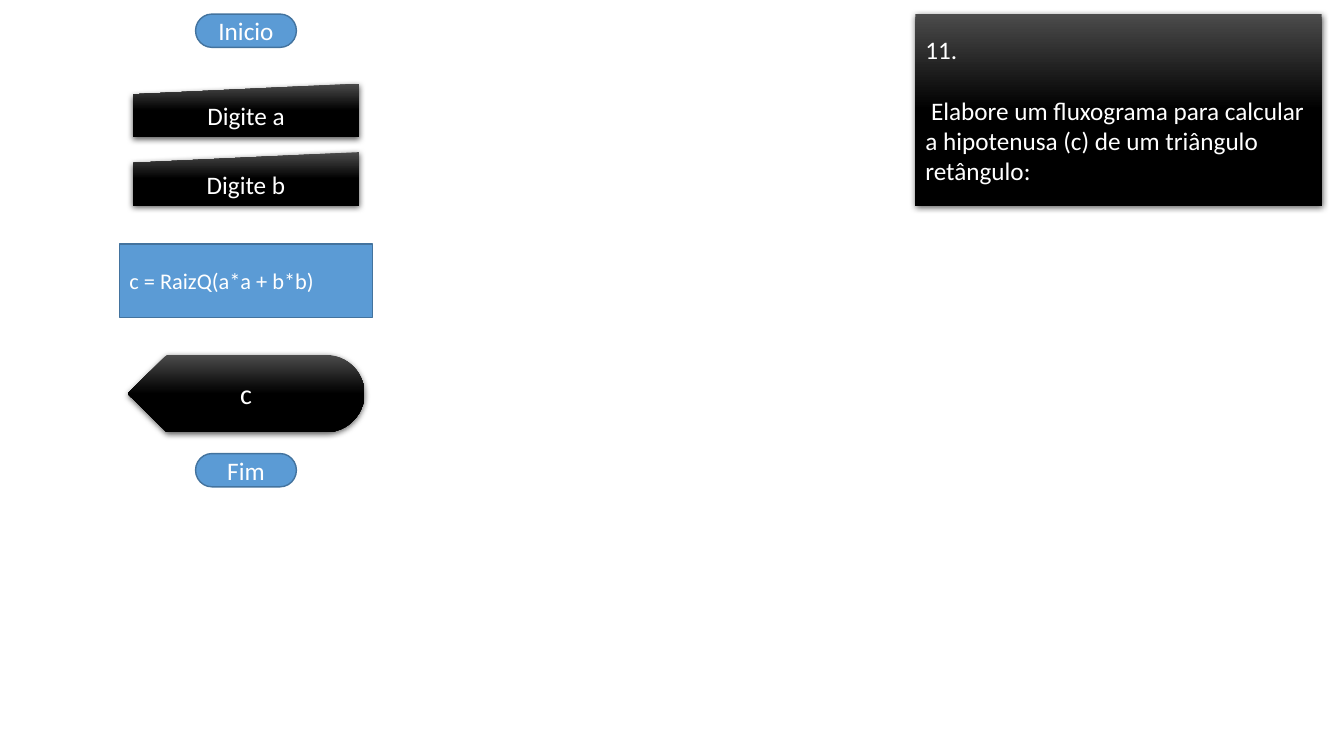
"""Build a slide with a flowchart that computes the hypotenuse of a right triangle."""
from copy import deepcopy
from dataclasses import dataclass

from lxml import etree
from pptx import Presentation
from pptx import util as u
from pptx.dml import color
from pptx.enum import shapes, text
from pptx.oxml import ns

FONT = "Calibri"
WHITE, BLUE, BLUE_EDGE = "FFFFFF", "5B9BD5", "43739E"
DARK_STOPS = ((0, "4B4B4B"), (0.5, "000000"), (1, "000000"))
FLOW_CENTER = 2.44
KIND = shapes.MSO_SHAPE


@dataclass
class Block:
    kind: shapes.MSO_SHAPE
    left: float
    top: float
    width: float
    height: float
    lines: tuple[str, ...]
    dark: bool
    size: int = 18
    centered: bool = True


def flow_step(kind: shapes.MSO_SHAPE, top: float, width: float, height: float,
              label: str, dark: bool, size: int = 18, centered: bool = True) -> Block:
    return Block(kind, FLOW_CENTER - width / 2, top, width, height,
                 (label,), dark, size, centered)


BLOCKS = (
    Block(KIND.RECTANGLE, 9.08, 0.14, 4.03, 1.9,
          ("11.", " Elabore um fluxograma para calcular a hipotenusa (c) "
                  "de um triângulo retângulo:"), dark=True, centered=False),
    flow_step(KIND.FLOWCHART_TERMINATOR, 0.14, 1, 0.33, "Inicio", dark=False),
    flow_step(KIND.FLOWCHART_MANUAL_INPUT, 0.83, 2.24, 0.53, "Digite a", dark=True),
    flow_step(KIND.FLOWCHART_MANUAL_INPUT, 1.51, 2.24, 0.53, "Digite b", dark=True),
    flow_step(KIND.FLOWCHART_PROCESS, 2.42, 2.51, 0.73, "c = RaizQ(a*a + b*b)",
              dark=False, size=16, centered=False),
    flow_step(KIND.FLOWCHART_DISPLAY, 3.52, 2.35, 0.77, "c", dark=True, size=20),
    flow_step(KIND.FLOWCHART_TERMINATOR, 4.5, 1, 0.33, "Fim", dark=False),
)


def rgb(value: str) -> color.RGBColor:
    return color.RGBColor.from_string(value)


def style_dark(shape) -> None:
    shape.fill.gradient()
    shape.fill.gradient_angle = 270
    stop_list = shape.element.spPr.find(".//" + ns.qn("a:gsLst"))
    stop_list.append(deepcopy(stop_list[-1]))
    for stop, (position, value) in zip(shape.fill.gradient_stops, DARK_STOPS):
        stop.position = position
        stop.color.rgb = rgb(value)
    shape.line.fill.background()
    effects = shape.element.spPr.find(ns.qn("a:effectLst"))
    shadow = etree.SubElement(effects, ns.qn("a:outerShdw"), blurRad=str(u.Pt(4.5)),
                              dist=str(u.Pt(1.5)), dir="5400000", algn="ctr",
                              rotWithShape="0")
    tone = etree.SubElement(shadow, ns.qn("a:srgbClr"), val="000000")
    etree.SubElement(tone, ns.qn("a:alpha"), val="63000")


def style_blue(shape) -> None:
    shape.fill.solid()
    shape.fill.fore_color.rgb = rgb(BLUE)
    shape.line.color.rgb = rgb(BLUE_EDGE)
    shape.line.width = u.Pt(1)


def write_lines(shape, block: Block) -> None:
    frame = shape.text_frame
    frame.word_wrap = True
    frame.vertical_anchor = text.MSO_ANCHOR.MIDDLE
    for index, line in enumerate(block.lines):
        paragraph = frame.add_paragraph() if index else frame.paragraphs[0]
        paragraph.alignment = text.PP_ALIGN.CENTER if block.centered else text.PP_ALIGN.LEFT
        if index:
            paragraph.space_before = u.Pt(22)
        run = paragraph.add_run()
        run.text = line
        run.font.name = FONT
        run.font.size = u.Pt(block.size)
        run.font.color.rgb = rgb(WHITE)


def draw_block(slide, block: Block) -> None:
    shape = slide.shapes.add_shape(block.kind, u.Inches(block.left), u.Inches(block.top),
                                   u.Inches(block.width), u.Inches(block.height))
    shape.shadow.inherit = False
    if block.dark:
        style_dark(shape)
    else:
        style_blue(shape)
    write_lines(shape, block)


def main() -> None:
    deck = Presentation()
    deck.slide_width, deck.slide_height = u.Inches(13.33), u.Inches(7.5)
    slide = deck.slides.add_slide(deck.slide_layouts[6])
    for block in BLOCKS:
        draw_block(slide, block)
    deck.save("out.pptx")


if __name__ == "__main__":
    main()
